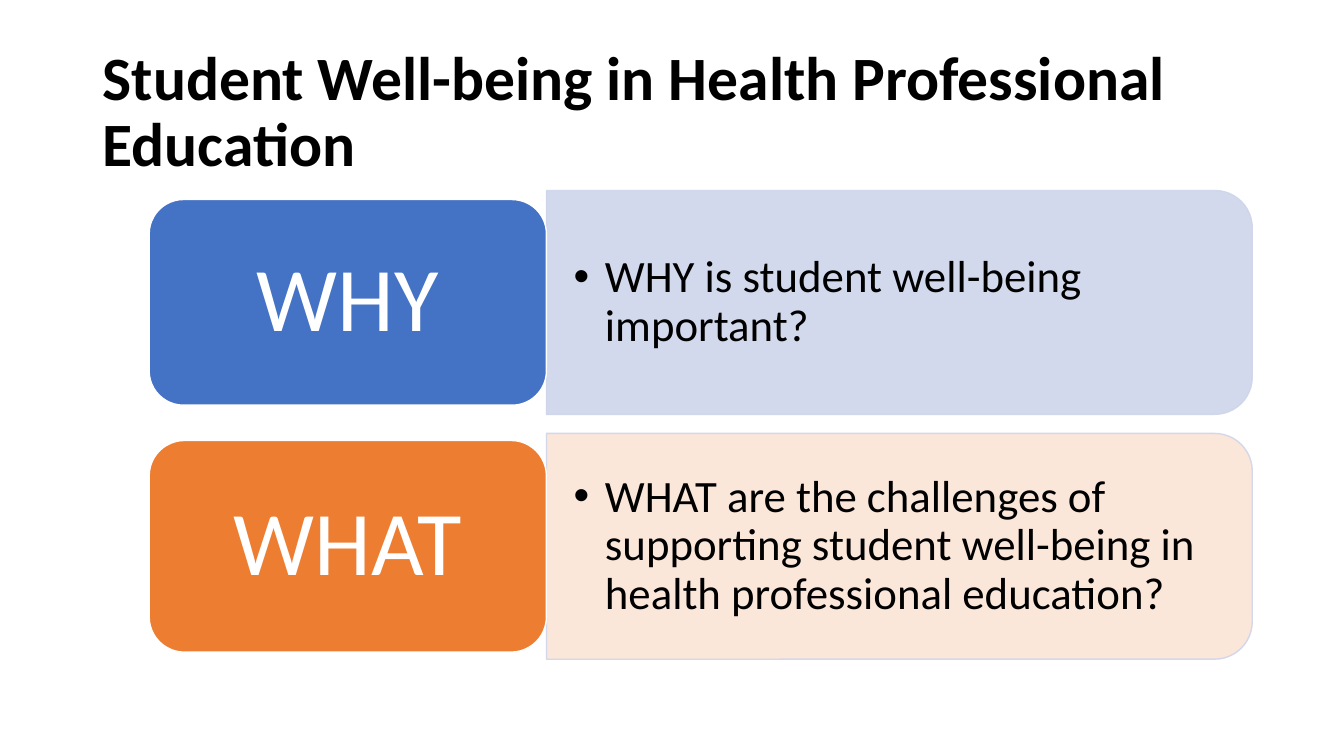
from lxml.etree import SubElement
from pptx import Presentation
from pptx.dml.color import RGBColor
from pptx.enum.shapes import MSO_SHAPE as Shape
from pptx.enum.text import MSO_ANCHOR as Anchor, PP_ALIGN as Align
from pptx.oxml.ns import qn
from pptx.util import Pt

PX = 9144
COLORS = {
    "black": "000000",
    "white": "FFFFFF",
    "blue": "4472C4",
    "orange": "ED7D31",
    "lavender": "CFD5EA",
    "peach": "FBE5D6",
}


def px(*lengths):
    return [round(length * PX) for length in lengths]


def rgb(color):
    return RGBColor.from_string(COLORS[color])


def write(holder, text, size, color="black", bold=False, align=Align.LEFT,
          insets=(27, 14), bullet=False):
    frame = holder.text_frame
    frame.word_wrap = True
    frame.vertical_anchor = Anchor.MIDDLE
    side, end = px(*insets)
    frame.margin_left = frame.margin_right = side
    frame.margin_top = frame.margin_bottom = end
    paragraph = frame.paragraphs[0]
    paragraph.text = text
    paragraph.alignment = align
    paragraph.line_spacing = 0.9
    if bullet:
        indent, = px(31)
        properties = paragraph._p.get_or_add_pPr()
        properties.set("marL", str(indent))
        properties.set("indent", str(-indent))
        SubElement(properties, qn("a:buFont"), typeface="Arial")
        SubElement(properties, qn("a:buChar"), char="•")
    font = paragraph.runs[0].font
    font.name = "Calibri"
    font.size = Pt(size)
    font.bold = bold
    font.color.rgb = rgb(color)


def add_block(slide, preset, box, fill, line, opacity=100):
    block = slide.shapes.add_shape(preset, *px(*box))
    block.shadow.inherit = False
    block.fill.solid()
    block.fill.fore_color.rgb = rgb(fill)
    block.line.color.rgb = rgb(line)
    block.line.width = Pt(1)
    if opacity < 100:
        for tint in block._element.spPr.iter(qn("a:srgbClr")):
            SubElement(tint, qn("a:alpha"), val=str(opacity * 1000))
    return block


def add_panel(slide, middle, height, fill, question):
    left, width = 542, 700
    upright_box = (left + (width - height) / 2, middle - width / 2, height, width)
    panel = add_block(slide, Shape.ROUND_2_SAME_RECTANGLE, upright_box, fill,
                      "lavender", opacity=90)
    panel.rotation = 90
    text_height = height - 22
    text_box = slide.shapes.add_textbox(
        *px(left, middle - text_height / 2, 689, text_height))
    write(text_box, question, 32, bullet=True)


def add_label(slide, middle, height, fill, word):
    label = add_block(slide, Shape.ROUNDED_RECTANGLE,
                      (148, middle - height / 2, 394, height), fill, "white")
    write(label, word, 65, color="white", align=Align.CENTER)


def main():
    deck = Presentation()
    deck.slide_width, deck.slide_height = px(1333, 750)
    slide = deck.slides.add_slide(deck.slide_layouts[6])

    title = slide.shapes.add_textbox(*px(92, 40, 1150, 145))
    write(title, "Student Well-being in Health Professional Education", 44,
          bold=True, insets=(10, 5))

    topics = [
        ("WHY", "WHY is student well-being important?",
         300, 222, 204, "lavender", "blue"),
        ("WHAT", "WHAT are the challenges of supporting student well-being in "
         "health professional education?",
         542, 224, 210, "peach", "orange"),
    ]
    for word, question, middle, panel_height, label_height, tint, accent in topics:
        add_panel(slide, middle, panel_height, tint, question)
        add_label(slide, middle, label_height, accent, word)

    deck.save("out.pptx")


if __name__ == "__main__":
    main()
